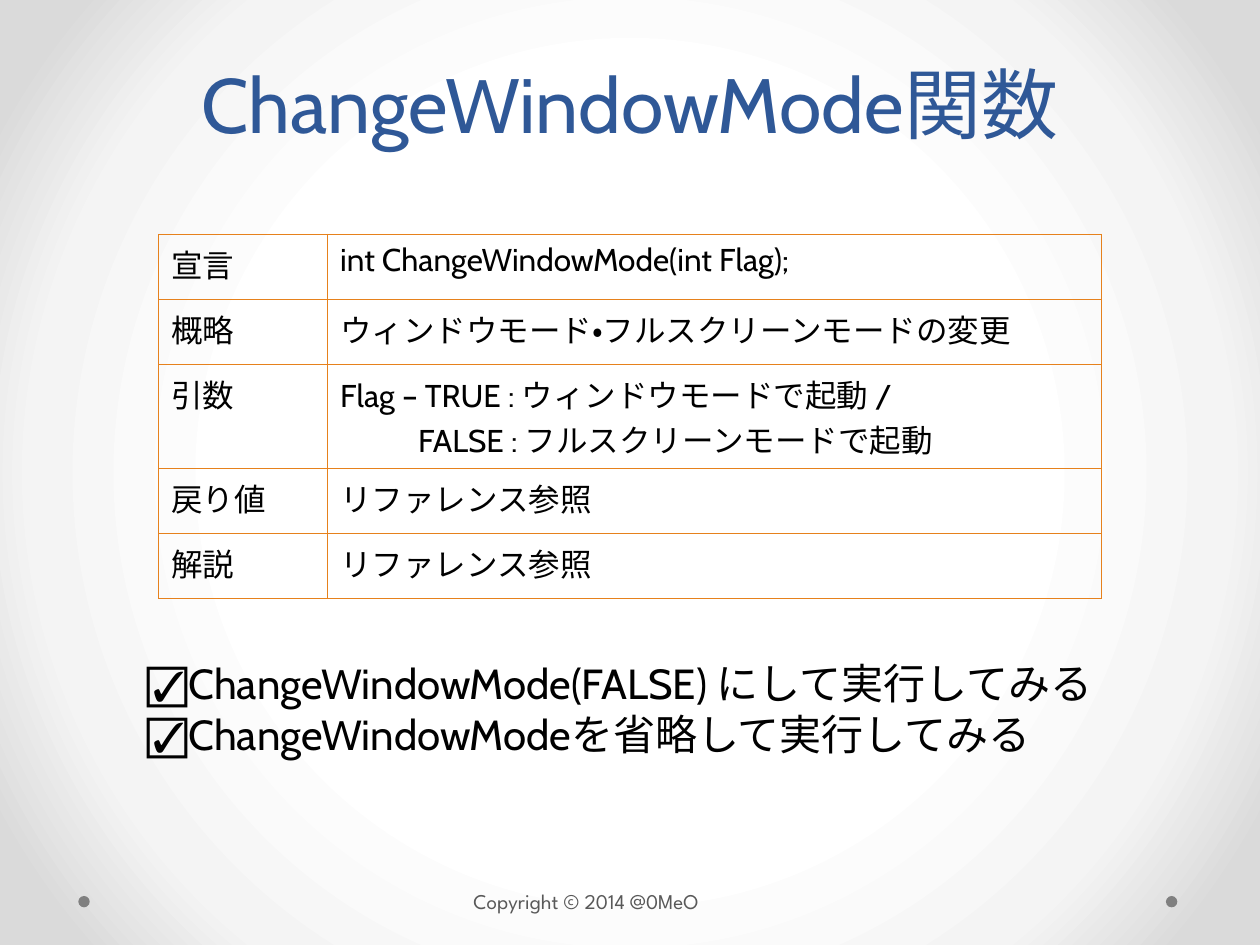
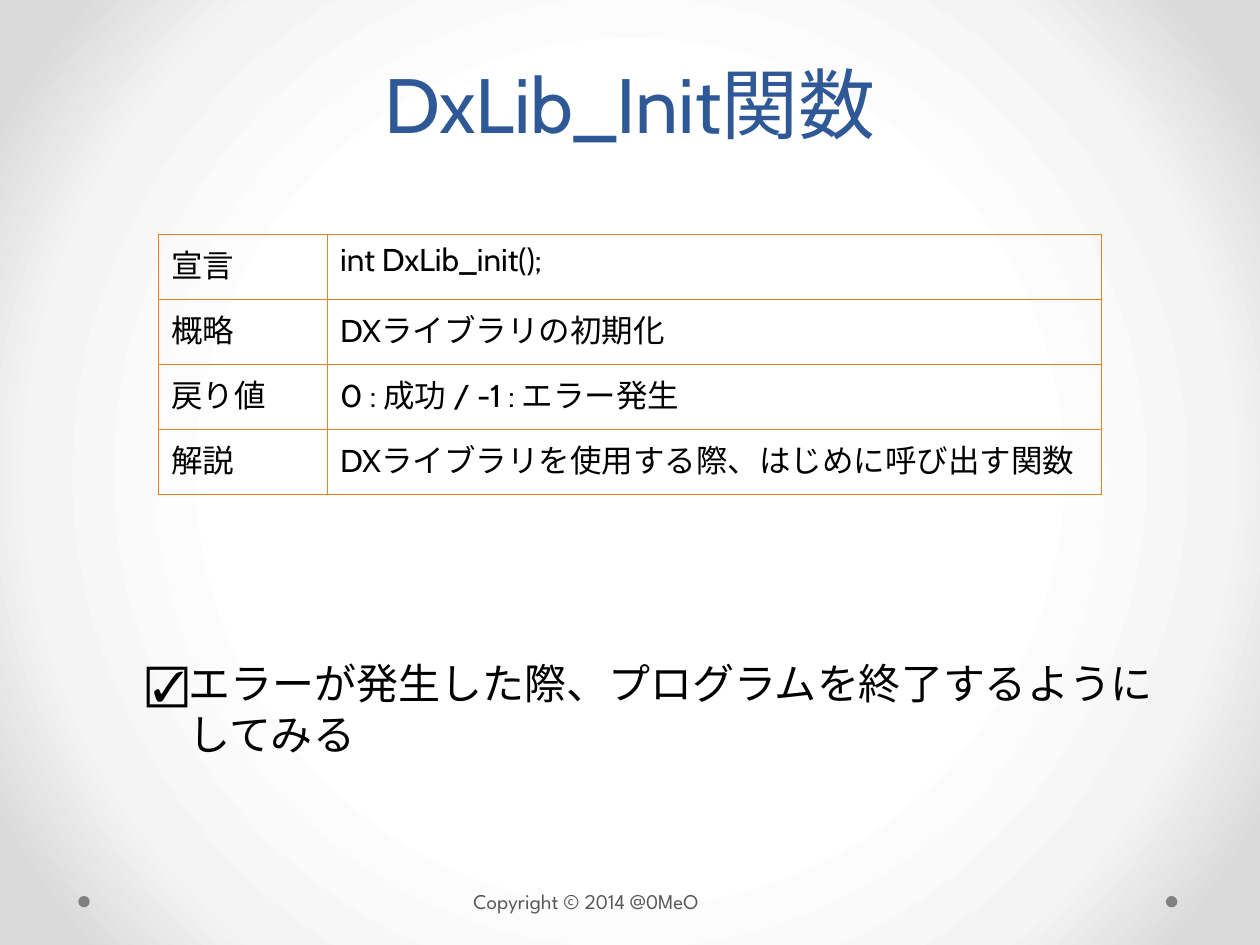
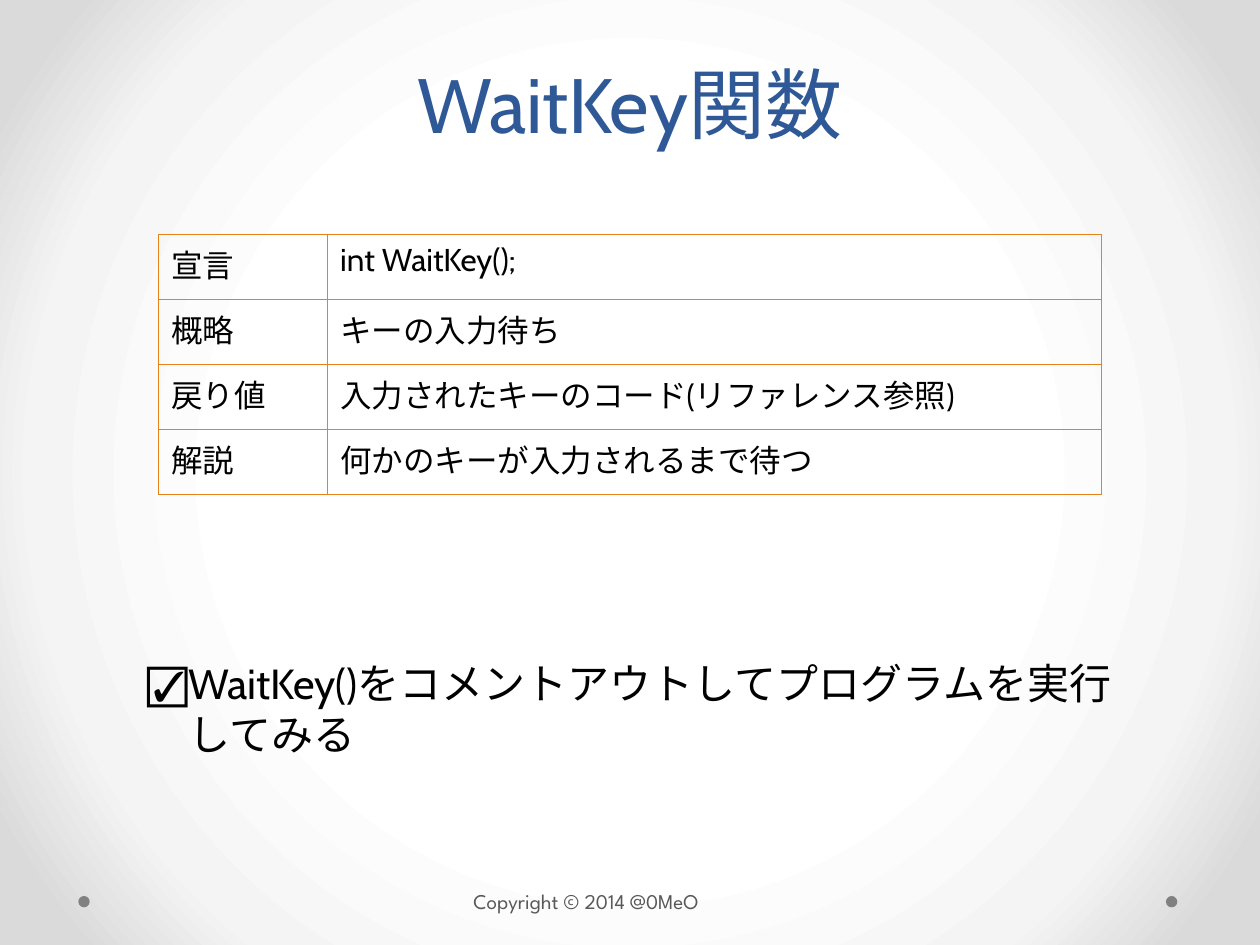
from pptx import Presentation
from pptx.dml.color import RGBColor
from pptx.enum.lang import MSO_LANGUAGE_ID
from pptx.enum.shapes import MSO_SHAPE
from pptx.enum.text import MSO_ANCHOR, MSO_AUTO_SIZE, PP_ALIGN
from pptx.oxml import parse_xml
from pptx.oxml.ns import nsdecls, qn
from pptx.util import Pt

OVAL = MSO_SHAPE.OVAL
JAPANESE = MSO_LANGUAGE_ID.JAPANESE
LEFT, CENTER = PP_ALIGN.LEFT, PP_ALIGN.CENTER
BOTTOM = MSO_ANCHOR.BOTTOM
FIT_SHAPE = MSO_AUTO_SIZE.SHAPE_TO_FIT_TEXT

COLORS = {
    "title": "2F5897", "body": "000000", "footer": "595959",
    "dot": "808080", "rule": "E6811C",
    "center": "FFFFFF", "middle": "F4F4F4", "edge": "DADADA",
}
BODY_FONT, FOOTER_FONT = "Cabin", "League Spartan"
SLIDE_WIDTH, SLIDE_HEIGHT = 720, 540
COLUMN_WIDTHS = (96.5, 442)
ROW_HEIGHT, EXTRA_LINE_HEIGHT = 37.15, 22.3
TITLE_BOX = (36, 17.3, 648, 71.3)
FOOTER_BOX = (44.75, 504, 628, 21.6)
TABLE_LEFT, TABLE_TOP = (SLIDE_WIDTH - sum(COLUMN_WIDTHS)) / 2, 134
TASK_LEFT, TASK_TOP, TASK_HEIGHT = 76.5, 372.3, 65.5

FUNCTIONS = [
    {
        "title": "ChangeWindowMode関数",
        "rows": [
            ("宣言", ["int ChangeWindowMode(int Flag);"]),
            ("概略", ["ウィンドウモード・フルスクリーンモードの変更"]),
            ("引数", ["Flag – TRUE : ウィンドウモードで起動 /",
                    "FALSE : フルスクリーンモードで起動"]),
            ("戻り値", ["リファレンス参照"]),
            ("解説", ["リファレンス参照"]),
        ],
        "tasks": ["☑ChangeWindowMode(FALSE) にして実行してみる",
                  "☑ChangeWindowModeを省略して実行してみる"],
        "task_indent": 0,
        "task_width": 570,
    },
    {
        "title": "DxLib_Init関数",
        "rows": [
            ("宣言", ["int DxLib_init();"]),
            ("概略", ["DXライブラリの初期化"]),
            ("戻り値", ["0 : 成功 / -1 : エラー発生"]),
            ("解説", ["DXライブラリを使用する際、はじめに呼び出す関数"]),
        ],
        "tasks": ["☑エラーが発生した際、プログラムを終了するように", "してみる"],
        "task_indent": 24,
        "task_width": 592.5,
    },
    {
        "title": "WaitKey関数",
        "rows": [
            ("宣言", ["int WaitKey();"]),
            ("概略", ["キーの入力待ち"]),
            ("戻り値", ["入力されたキーのコード(リファレンス参照)"]),
            ("解説", ["何かのキーが入力されるまで待つ"]),
        ],
        "tasks": ["☑WaitKey()をコメントアウトしてプログラムを実行", "してみる"],
        "task_indent": 24,
        "task_width": 572.5,
    },
]


def write(frame, lines, size=18, color="body", font=BODY_FONT, align=LEFT,
          spacing=None, next_indent=0):
    """Fill a text frame with lines, indenting those after the first."""
    for index, line in enumerate(lines):
        paragraph = frame.add_paragraph() if index else frame.paragraphs[0]
        paragraph.alignment = align
        if spacing:
            paragraph.line_spacing = Pt(spacing)
        if index and next_indent:
            properties = paragraph._p.get_or_add_pPr()
            properties.set("marL", str(Pt(next_indent)))
            properties.set("indent", "0")
        run = paragraph.add_run()
        run.text = line
        run.font.name = font
        run.font.size = Pt(size)
        run.font.language_id = JAPANESE
        run.font.color.rgb = RGBColor.from_string(COLORS[color])


def add_text_frame(slide, box, wrap=True):
    """Add a text box and return its frame."""
    frame = slide.shapes.add_textbox(*map(Pt, box)).text_frame
    frame.word_wrap = wrap
    if not wrap:
        frame.auto_size = FIT_SHAPE
    return frame


def paint_background(slide):
    """Give the slide a round gradient that darkens at the corners."""
    slide.background.fill.gradient()
    gradient = slide.element.find(".//" + qn("a:gradFill"))
    stops = "".join(
        f'<a:gs pos="{percent * 1000}"><a:srgbClr val="{COLORS[color]}"/></a:gs>'
        for percent, color in ((50, "center"), (76, "middle"), (92, "edge")))
    gradient.getparent().replace(gradient, parse_xml(
        f'<a:gradFill {nsdecls("a")} rotWithShape="1"><a:gsLst>{stops}</a:gsLst>'
        '<a:path path="circle"><a:fillToRect l="50000" t="50000" r="50000" b="50000"/>'
        '</a:path></a:gradFill>'))


def add_footer(slide, box):
    """Place the copyright line between two dots at the ends of the box."""
    left, top, width, height = box
    diameter = 6.5
    for dot_left in (left + width - diameter, left):
        dot = slide.shapes.add_shape(
            OVAL, Pt(dot_left), Pt(top + 8), Pt(diameter), Pt(diameter))
        dot.shadow.inherit = False
        dot.fill.solid()
        dot.fill.fore_color.rgb = RGBColor.from_string(COLORS["dot"])
        dot.line.fill.background()
    notice = add_text_frame(slide, (left + 218.75, top, 165.6, height), wrap=False)
    write(notice, ["Copyright © 2014 @0MeO"], size=12, color="footer", font=FOOTER_FONT)


def add_title(slide, box, title):
    """Place the centred title at the bottom of its box."""
    frame = add_text_frame(slide, box)
    frame.vertical_anchor = BOTTOM
    write(frame, [title], size=44, color="title", align=CENTER, spacing=58)


def rule_cell(cell):
    """Draw the four borders of a cell and clear its fill."""
    properties = cell._tc.get_or_add_tcPr()
    for side in ("lnL", "lnR", "lnT", "lnB"):
        properties.append(parse_xml(
            f'<a:{side} {nsdecls("a")} w="{Pt(0.75)}"><a:solidFill>'
            f'<a:srgbClr val="{COLORS["rule"]}"/></a:solidFill></a:{side}>'))
    cell.fill.background()


def add_reference(slide, left, top, rows):
    """Place the table that describes one function, its rows as tall as their lines."""
    heights = [ROW_HEIGHT + EXTRA_LINE_HEIGHT * (len(details) - 1) for _, details in rows]
    table = slide.shapes.add_table(
        len(rows), len(COLUMN_WIDTHS), Pt(left), Pt(top),
        Pt(sum(COLUMN_WIDTHS)), Pt(sum(heights))).table
    table.first_row = table.horz_banding = False
    for column, width in zip(table.columns, COLUMN_WIDTHS):
        column.width = Pt(width)
    for row, height, (heading, details) in zip(table.rows, heights, rows):
        row.height = Pt(height)
        for cell, lines in zip(row.cells, ([heading], details)):
            write(cell.text_frame, lines, next_indent=44.5)
            rule_cell(cell)


def add_tasks(slide, box, tasks, indent):
    """Place the exercises under the table."""
    write(add_text_frame(slide, box, wrap=False), tasks, size=24, next_indent=indent)


def add_function_slide(deck, function):
    """Build the slide of one function."""
    slide = deck.slides.add_slide(deck.slide_layouts[6])
    paint_background(slide)
    add_footer(slide, FOOTER_BOX)
    add_title(slide, TITLE_BOX, function["title"])
    add_reference(slide, TABLE_LEFT, TABLE_TOP, function["rows"])
    task_box = (TASK_LEFT, TASK_TOP, function["task_width"], TASK_HEIGHT)
    add_tasks(slide, task_box, function["tasks"], function["task_indent"])


def main():
    """Build and save the deck."""
    deck = Presentation()
    deck.slide_width, deck.slide_height = Pt(SLIDE_WIDTH), Pt(SLIDE_HEIGHT)
    for function in FUNCTIONS:
        add_function_slide(deck, function)
    deck.save("out.pptx")


main()
